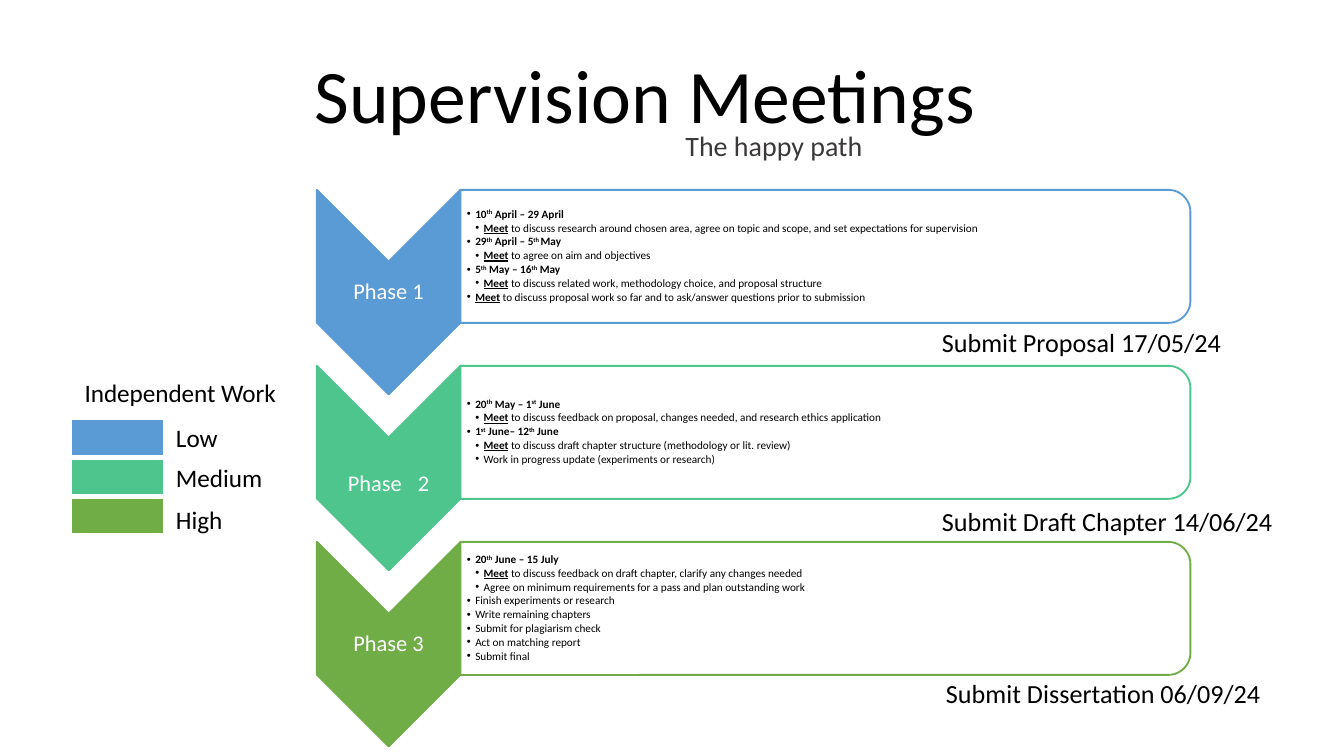
from pptx import Presentation
from pptx.dml.color import RGBColor as RGB
from pptx.enum.shapes import MSO_SHAPE as Kind
from pptx.enum.text import MSO_ANCHOR as Anchor, MSO_AUTO_SIZE as Fit, PP_ALIGN as Align
from pptx.oxml.ns import qn
from pptx.util import Pt
from lxml.etree import SubElement as Sub

HUES = {"low": "5B9BD5", "mid": "4DC58D", "high": "70AD47",
        "white": "FFFFFF", "black": "000000", "gray": "3B3838"}

# Label runs with sizes, hue, list rows (level, text); ^ marks superscript
PHASES = [
    ([("Phase 1", 12)], "low", [
        (1, "10^th^ April – 29 April"),
        (2, "Meet to discuss research around chosen area, agree on topic and scope, "
            "and set expectations for supervision"),
        (1, "29^th^ April – 5^th ^May"),
        (2, "Meet to agree on aim and objectives"),
        (1, "5^th^ May – 16^th^ May"),
        (2, "Meet to discuss related work, methodology choice, and proposal structure"),
        (1, "Meet to discuss proposal work so far and to ask/answer questions "
            "prior to submission")]),
    ([("Phase", 12), (" ", 38), ("2", 12)], "mid", [
        (1, "20^th^ May – 1^st^ June"),
        (2, "Meet to discuss feedback on proposal, changes needed, "
            "and research ethics application"),
        (1, "1^st^ June– 12^th^ June"),
        (2, "Meet to discuss draft chapter structure (methodology or lit. review)"),
        (2, "Work in progress update (experiments or research)")]),
    ([("Phase 3", 12)], "high", [
        (1, "20^th^ June – 15 July"),
        (2, "Meet to discuss feedback on draft chapter, clarify any changes needed"),
        (2, "Agree on minimum requirements for a pass and plan outstanding work"),
        (1, "Finish experiments or research"),
        (1, "Write remaining chapters"),
        (1, "Submit for plagiarism check"),
        (1, "Act on matching report"),
        (1, "Submit final")]),
]
LEVELS = [("Low", "low", 222.5), ("Medium", "mid", 244.1), ("High", "high", 266.4)]
DUE = [("Submit Proposal 17/05/24", 497.5, 171.4, 172),
       ("Submit Draft Chapter 14/06/24", 497.5, 267.1, 195),
       ("Submit Dissertation 06/09/24", 499.7, 359.3, 185)]


class Deck:
    font = "Calibri"

    def __init__(self, slide):
        self.slide = slide
        self.shapes = slide.shapes

    def style(self, para, size, hue="black"):
        font = para.font
        font.name, font.size = self.font, Pt(size)
        font.color.rgb = RGB.from_string(HUES[hue])

    def place(self, box, x, y, w, h):
        box.left, box.top, box.width, box.height = Pt(x), Pt(y), Pt(w), Pt(h)

    def frame(self, box, pads, anchor=Anchor.TOP, wrap=True):
        frame = box.text_frame
        frame.auto_size, frame.word_wrap = Fit.NONE, wrap
        frame.vertical_anchor = anchor
        (frame.margin_left, frame.margin_top,
         frame.margin_right, frame.margin_bottom) = map(Pt, pads)
        return frame

    def shape(self, kind, x, y, w, h, fill, line, turn=0):
        """Draw a shape in the area it covers once turned."""
        if turn:
            x, y, w, h = x + (w - h) / 2, y + (h - w) / 2, h, w
        item = self.shapes.add_shape(kind, Pt(x), Pt(y), Pt(w), Pt(h))
        item.rotation = turn
        item.shadow.inherit = False
        item.fill.solid()
        item.fill.fore_color.rgb = RGB.from_string(HUES[fill])
        item.line.color.rgb = RGB.from_string(HUES[line])
        item.line.width = Pt(1)
        return item

    def panel(self, x, y, w, h, hue):
        item = self.shape(Kind.ROUND_2_SAME_RECTANGLE, x, y, w, h, "white", hue, 90)
        color = item.element.spPr.find(qn("a:solidFill"))[0]
        Sub(color, qn("a:alpha"), val="90000")

    def text(self, words, x, y, w, h, size):
        box = self.shapes.add_textbox(Pt(x), Pt(y), Pt(w), Pt(h))
        frame = self.frame(box, (7.2, 3.6, 7.2, 3.6))
        frame.text = words
        self.style(frame.paragraphs[0], size)

    def label(self, runs, x, y, w, h):
        box = self.shapes.add_textbox(Pt(x), Pt(y), Pt(w), Pt(h))
        para = self.frame(box, (0.7,) * 4, Anchor.MIDDLE).paragraphs[0]
        para.alignment, para.line_spacing = Align.CENTER, 0.9
        self.style(para, 12, "white")
        for words, size in runs:
            run = para.add_run()
            run.text, run.font.size = words, Pt(size)

    def head(self, box, words, x, y, w, h, size, hue):
        self.place(box, x, y, w, h)
        frame = self.frame(box, (7.2, 3.6, 7.2, 3.6), wrap=False)
        frame.text = words
        para = frame.paragraphs[0]
        para.alignment, para.space_before = Align.LEFT, Pt(0)
        self.style(para, size, hue)
        para.font.bold = False

    def bullet(self, para, level):
        para.level, para.line_spacing = level, 0.9
        para.space_before, para.space_after = Pt(0), Pt(0.9)
        para.alignment = Align.LEFT
        props = para._p.get_or_add_pPr()
        props.set("marL", str(Pt(4.5 * level)))
        props.set("indent", str(-Pt(4.5)))
        Sub(Sub(props, qn("a:buClr")), qn("a:srgbClr"), val=HUES["black"])
        Sub(props, qn("a:buFont"), typeface="Arial")
        Sub(props, qn("a:buChar"), char="•")

    def list(self, box, rows, x, y, w, h):
        self.place(box, x, y, w, h)
        box.element.getparent().append(box.element)  # lift above the panel
        frame = self.frame(box, (3.6, 0, 0, 0), Anchor.MIDDLE)
        for i, (level, words) in enumerate(rows):
            para = frame.add_paragraph() if i else frame.paragraphs[0]
            self.bullet(para, level)
            self.style(para, 6)
            para.font.bold = "^" in words
            if words.startswith("Meet"):
                run = para.add_run()
                run.text = "Meet"
                run.font.bold = run.font.underline = True
                words = words[4:]
            for j, part in enumerate(words.split("^")):
                run = para.add_run()
                run.text = part
                if j % 2:
                    run.font._element.set("baseline", "30000")


def main():
    prs = Presentation()
    prs.slide_width, prs.slide_height = Pt(720), Pt(405)
    slide = prs.slides.add_slide(prs.slide_layouts[4])
    deck = Deck(slide)
    holds = {h.placeholder_format.idx: h for h in slide.placeholders}

    # Phases: chevron, label, panel and list
    for i, (runs, hue, rows) in enumerate(PHASES):
        y = 101.7 + 94.3 * i
        deck.shape(Kind.CHEVRON, 169.7, y, 77, 109.6, hue, hue, 90)
        deck.label(runs, 169.7, y + 38.5, 77, 33)
        deck.panel(246.7, y, 391, 71.3, hue)
        deck.list(holds[2 + i], rows, 246.5, y + 3.5, 388, 64)

    # Legend
    deck.text("Independent Work", 38.2, 198.7, 129, 24, 13.5)
    for i, (name, hue, y) in enumerate(LEVELS):
        deck.shape(Kind.RECTANGLE, 38.2, 224.8 + 21 * i, 49.7, 19.4, hue, "white")
        deck.text(name, 87.2, y, 71, 24, 13.5)

    # Title and subtitle
    deck.head(slide.shapes.title, "Supervision Meetings", 161.3, 22.3, 372, 56, 40.5, "black")
    deck.head(holds[1], "The happy path", 360, 65.5, 110, 25, 15, "gray")

    # Due dates
    for words, x, y, w in DUE:
        deck.text(words, x, y, w, 24.5, 14)

    prs.save("out.pptx")


if __name__ == "__main__":
    main()
